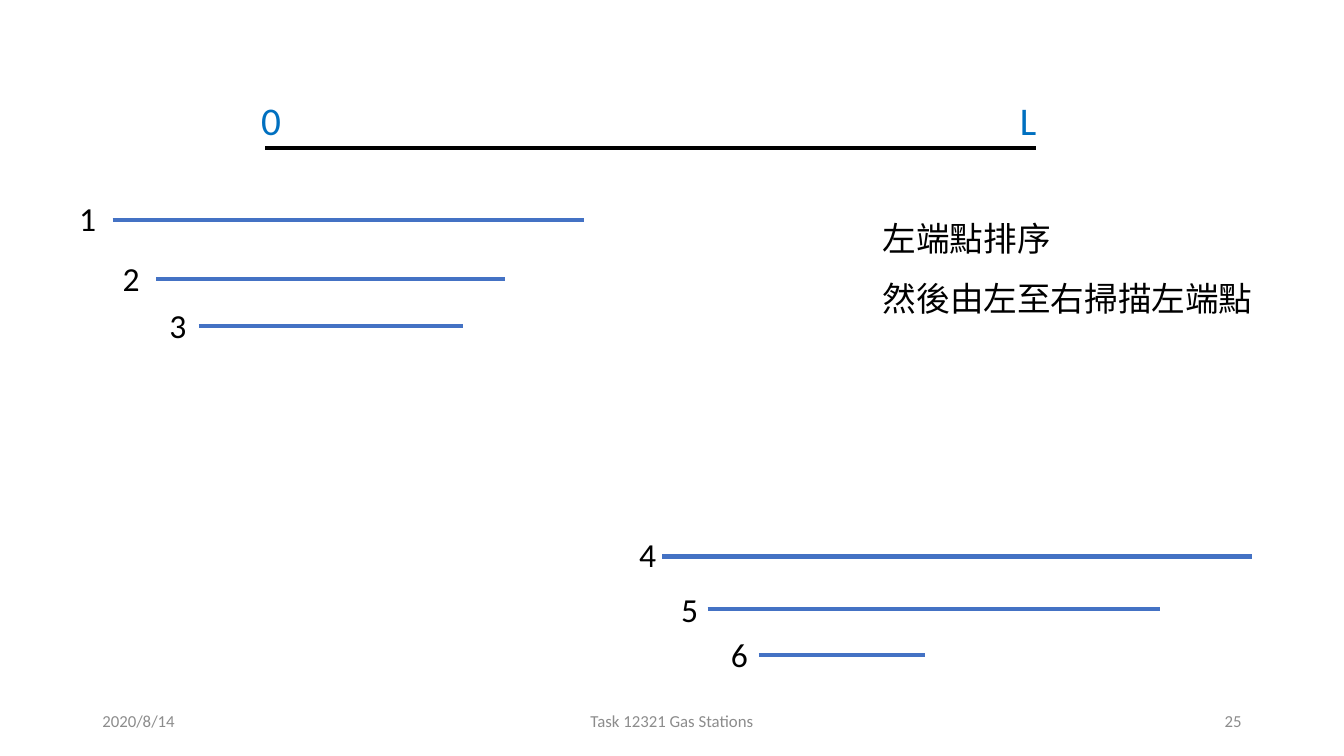
from lxml.etree import SubElement
from pptx import Presentation
from pptx.dml.color import RGBColor
from pptx.enum.shapes import MSO_CONNECTOR
from pptx.enum.text import MSO_ANCHOR, MSO_AUTO_SIZE, PP_ALIGN
from pptx.oxml.ns import qn
from pptx.util import Pt

COLORS = {"black": "000000", "interval": "4472C4", "axis_label": "0070C0", "footer": "8C8C8C"}


class SlideBuilder:
    latin_font = "Calibri"
    chinese_font = "Noto Sans CJK SC"
    line_width = 3

    def __init__(self, slide):
        self.slide = slide

    def line(self, left, right, y, color):
        connector = self.slide.shapes.add_connector(
            MSO_CONNECTOR.STRAIGHT, Pt(left), Pt(y), Pt(right), Pt(y))
        connector.line.color.rgb = RGBColor.from_string(COLORS[color])
        connector.line.width = Pt(self.line_width)
        SubElement(connector._element.spPr, qn("a:effectLst"))

    def text(self, text, left, top, width, height, size=24, color="black", font=latin_font):
        shape = self.slide.shapes.add_textbox(Pt(left), Pt(top), Pt(width), Pt(height))
        frame = shape.text_frame
        frame.text = text
        frame.word_wrap = True
        frame.auto_size = MSO_AUTO_SIZE.SHAPE_TO_FIT_TEXT
        run = frame.paragraphs[0].runs[0]
        run.font.size = Pt(size)
        run.font.name = font
        run.font.color.rgb = RGBColor.from_string(COLORS[color])
        SubElement(run._r.get_or_add_rPr(), qn("a:ea"), typeface=self.chinese_font)
        return frame

    def footer(self, text, left, width, alignment):
        frame = self.text(text, left, 500.5, width, 28.75, size=12, color="footer")
        frame.auto_size = MSO_AUTO_SIZE.NONE
        frame.vertical_anchor = MSO_ANCHOR.MIDDLE
        frame.paragraphs[0].alignment = alignment


def main():
    presentation = Presentation()
    presentation.slide_width = Pt(960)
    presentation.slide_height = Pt(540)
    slide = presentation.slides.add_slide(presentation.slide_layouts[6])
    builder = SlideBuilder(slide)

    # Footer
    builder.footer("2020/8/14", 66, 216, PP_ALIGN.LEFT)
    builder.footer("Task 12321 Gas Stations", 318, 324, PP_ALIGN.CENTER)
    builder.footer("25", 678, 216, PP_ALIGN.RIGHT)

    # Road from 0 to L
    builder.line(189.5, 740, 106, "black")
    for label, left in (("0", 179.5), ("L", 721.5)):
        builder.text(label, left, 65.5, 31, 41, size=28, color="axis_label")

    # Station intervals: left end, right end, height, label left, label top
    intervals = [
        (80.5, 417, 157, 49.5, 138),
        (111.5, 360.5, 199.5, 80.5, 180.5),
        (142, 331, 233, 114, 214),
        (473, 894, 397.5, 449.5, 377.5),
        (505.5, 828.5, 435, 479.5, 417),
        (542, 661, 468, 515, 449.5),
    ]
    for number, (left, right, y, label_left, label_top) in enumerate(intervals, start=1):
        builder.line(left, right, y, "interval")
        builder.text(str(number), label_left, label_top, 30, 36)

    # Method notes
    notes = [("左端點排序", 152, 149), ("然後由左至右掃描左端點", 195, 289.5)]
    for note, top, width in notes:
        builder.text(note, 623.5, top, width, 36, font=builder.chinese_font)

    presentation.save("out.pptx")


if __name__ == "__main__":
    main()
